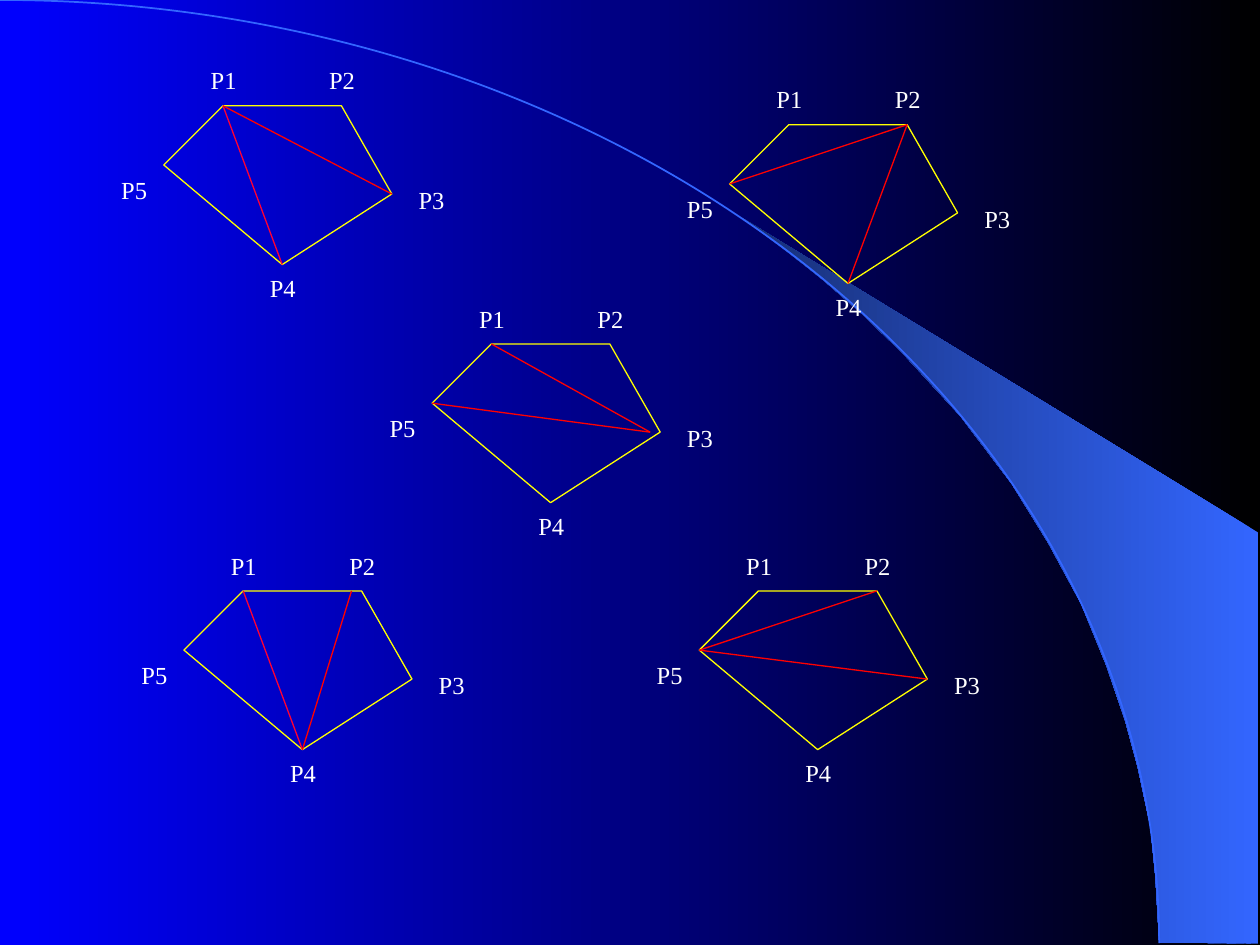
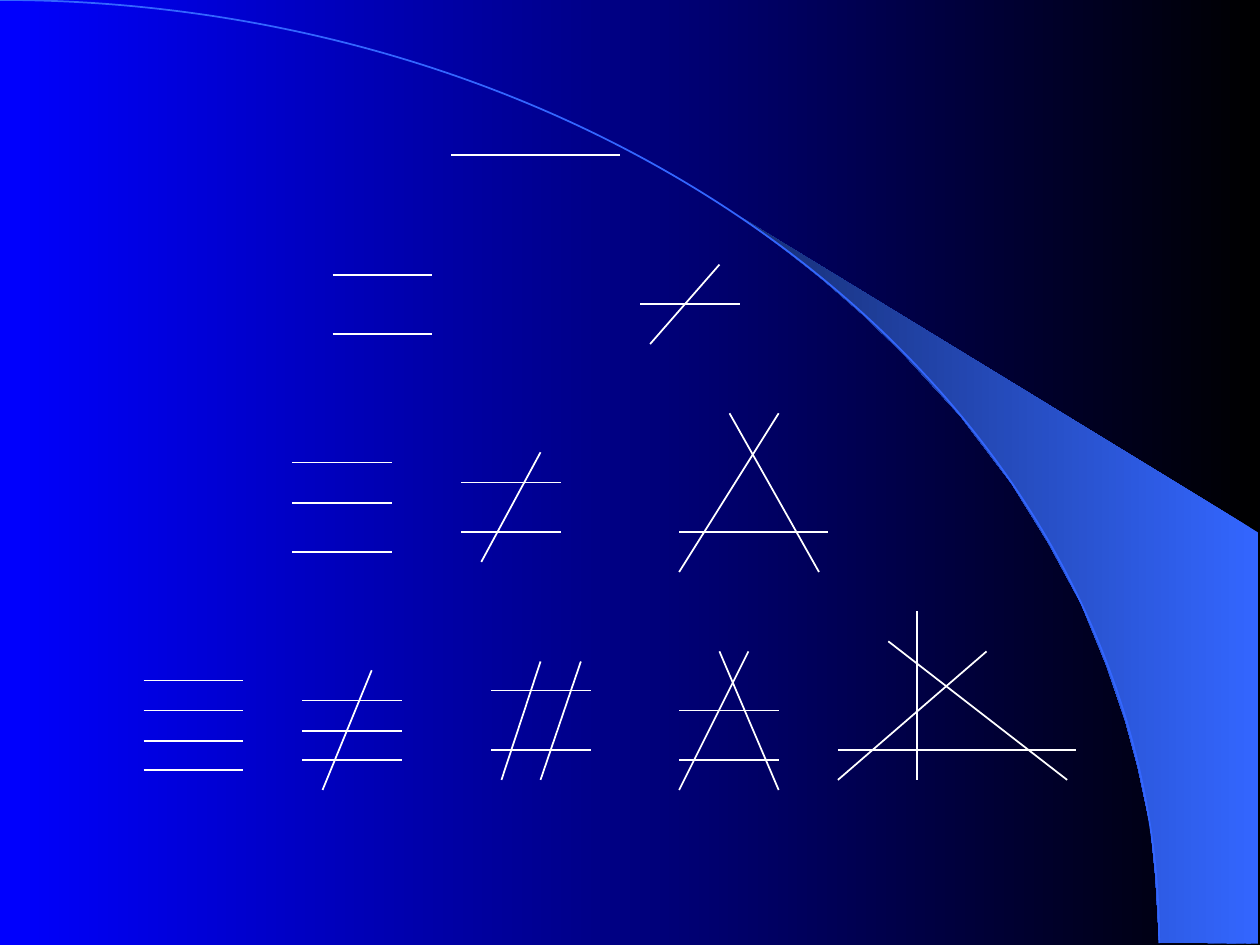
"""Build two slides: the triangulations of a pentagon and the arrangements of up to four lines."""
import lxml.etree
import pptx
import pptx.dml.color
import pptx.enum.shapes
import pptx.enum.text
import pptx.oxml.ns
import pptx.util

Inches = pptx.util.Inches
Pt = pptx.util.Pt
RGB = pptx.dml.color.RGBColor.from_string

theme = {
    "background": ("000000", "0000FF"),
    "sweep": ("3366FF", "172F75"),
    "arc": "3366FF",
    "polygon": "FFFF00",
    "diagonal": "FF0000",
    "accent_diagonal": "FF0033",
    "ink": "FFFFFF",
    "thin": Pt(0.74),
    "regular": Pt(0.99),
    "label_font": {"name": "Times New Roman", "size": Pt(14)},
    "label_frame": {
        "margin_left": 0, "margin_right": 0, "margin_top": 0, "margin_bottom": 0,
        "word_wrap": True,
        "auto_size": pptx.enum.text.MSO_AUTO_SIZE.SHAPE_TO_FIT_TEXT,
    },
}


def fade(fill, colours):
    fill.gradient()
    fill.gradient_angle = 180
    for stop, colour in zip(fill.gradient_stops, colours):
        stop.color.rgb = RGB(colour)


def stroke(shapes, start, end, colour, width):
    segment = shapes.add_connector(
        pptx.enum.shapes.MSO_CONNECTOR.STRAIGHT,
        *(Inches(value) for value in (*start, *end)))
    segment.line.color.rgb = RGB(colour)
    segment.line.width = width
    lxml.etree.SubElement(segment.element.spPr, pptx.oxml.ns.qn("a:effectLst"))


deck = pptx.Presentation()
deck.slide_width, deck.slide_height = Inches(10), Inches(7.5)
master = deck.slide_master
fade(master.background.fill, theme["background"])
blank = deck.slide_layouts.get_by_name("Blank")
triangulations = deck.slides.add_slide(blank)
arrangements = deck.slides.add_slide(blank)

sweep_outline = [
    (9.2, 7.48), (9.99, 7.49), (9.99, 4.23), (5.89, 1.73), (6.24, 1.99), (6.53, 2.22),
    (6.85, 2.5), (7.16, 2.8), (7.62, 3.3), (8.03, 3.84), (8.32, 4.31), (8.58, 4.79),
    (8.78, 5.28), (8.93, 5.72), (9.03, 6.09), (9.13, 6.56), (9.17, 6.96),
]
builder = triangulations.shapes.build_freeform(*map(Inches, sweep_outline[0]))
builder.add_line_segments([tuple(map(Inches, point)) for point in sweep_outline[1:]])
sweep = builder.convert_to_shape()
fade(sweep.fill, theme["sweep"])
sweep.line.fill.background()

horizon = triangulations.shapes.add_shape(
    pptx.enum.shapes.MSO_SHAPE.ARC, Inches(-9.2), 0, Inches(18.4), Inches(14.97))
horizon.fill.background()
horizon.line.color.rgb = RGB(theme["arc"])
horizon.line.width = theme["regular"]

for number, decoration in enumerate((sweep, horizon), start=101):
    decoration.shadow.inherit = False
    decoration.element.nvSpPr.cNvPr.set("id", str(number))
    master.shapes.element.append(decoration.element)

vertices = {
    "P1": (0, 0), "P2": (0.94, 0), "P3": (1.34, 0.7), "P4": (0.47, 1.26), "P5": (-0.47, 0.47),
}
label_offsets = {
    "P1": (-0.23, -0.32), "P2": (0.71, -0.32), "P3": (1.42, 0.63),
    "P4": (0.24, 1.33), "P5": (-0.94, 0.55),
}
pentagons = [
    ((1.77, 0.84), [("P1", "P4", 0, "accent_diagonal"), ("P1", "P3", 0, "diagonal")]),
    ((6.26, 0.99), [("P5", "P2", 0, "diagonal"), ("P2", "P4", 0, "diagonal")]),
    ((3.9, 2.73), [("P1", "P3", -0.08, "diagonal"), ("P5", "P3", -0.08, "diagonal")]),
    ((1.93, 4.69), [("P1", "P4", 0, "accent_diagonal"), ("P4", "P2", -0.08, "diagonal")]),
    ((6.02, 4.69), [("P5", "P2", 0, "diagonal"), ("P5", "P3", 0, "diagonal")]),
]

for (left, top), diagonals in pentagons:
    figure = triangulations.shapes.add_group_shape().shapes
    corners = {name: (left + x, top + y) for name, (x, y) in vertices.items()}
    outline = [tuple(map(Inches, corner)) for corner in corners.values()]
    builder = figure.build_freeform(*outline[0])
    builder.add_line_segments(outline[1:])
    pentagon = builder.convert_to_shape()
    pentagon.shadow.inherit = False
    pentagon.fill.background()
    pentagon.line.color.rgb = RGB(theme["polygon"])
    pentagon.line.width = theme["thin"]

    for start, end, nudge, colour in diagonals:
        end_x, end_y = corners[end]
        stroke(figure, corners[start], (end_x + nudge, end_y), theme[colour], theme["thin"])

    for name, (x, y) in label_offsets.items():
        label = figure.add_textbox(
            Inches(left + x), Inches(top + y), Inches(0.47), Inches(0.23)).text_frame
        for attribute, value in theme["label_frame"].items():
            setattr(label, attribute, value)
        paragraph = label.paragraphs[0]
        paragraph.alignment = pptx.enum.text.PP_ALIGN.CENTER
        letters = paragraph.add_run()
        letters.text = name
        for attribute, value in theme["label_font"].items():
            setattr(letters.font, attribute, value)
        letters.font.color.rgb = RGB(theme["ink"])

line_families = [
    (3.58, 1.34, [1.23], []),
    (2.64, 0.79, [2.18, 2.65], []),
    (5.08, 0.79, [2.41], [((5.71, 2.1), (5.16, 2.73))]),
    (2.32, 0.79, [3.67, 3.99, 4.38], []),
    (3.66, 0.79, [3.83, 4.22], [((4.29, 3.59), (3.82, 4.46))]),
    (5.39, 1.18, [4.22], [((6.18, 3.28), (5.39, 4.54)), ((5.79, 3.28), (6.5, 4.54))]),
    (1.14, 0.79, [5.4, 5.64, 5.88, 6.11], []),
    (2.4, 0.79, [5.56, 5.8, 6.03], [((2.95, 5.32), (2.56, 6.27))]),
    (3.9, 0.79, [5.48, 5.95], [((4.29, 5.25), (3.98, 6.19)), ((4.61, 5.25), (4.29, 6.19))]),
    (5.39, 0.79, [5.64, 6.03], [((5.94, 5.17), (5.39, 6.27)), ((5.71, 5.17), (6.18, 6.27))]),
    (6.65, 1.89, [5.95], [((7.83, 5.17), (6.65, 6.19)), ((7.05, 5.09), (8.47, 6.19)),
                          ((7.28, 4.85), (7.28, 6.19))]),
]

for left, length, heights, crossings in line_families:
    parallels = [((left, y), (left + length, y)) for y in heights]
    for start, end in parallels + crossings:
        stroke(arrangements.shapes, start, end, theme["ink"], theme["regular"])

deck.save("out.pptx")
